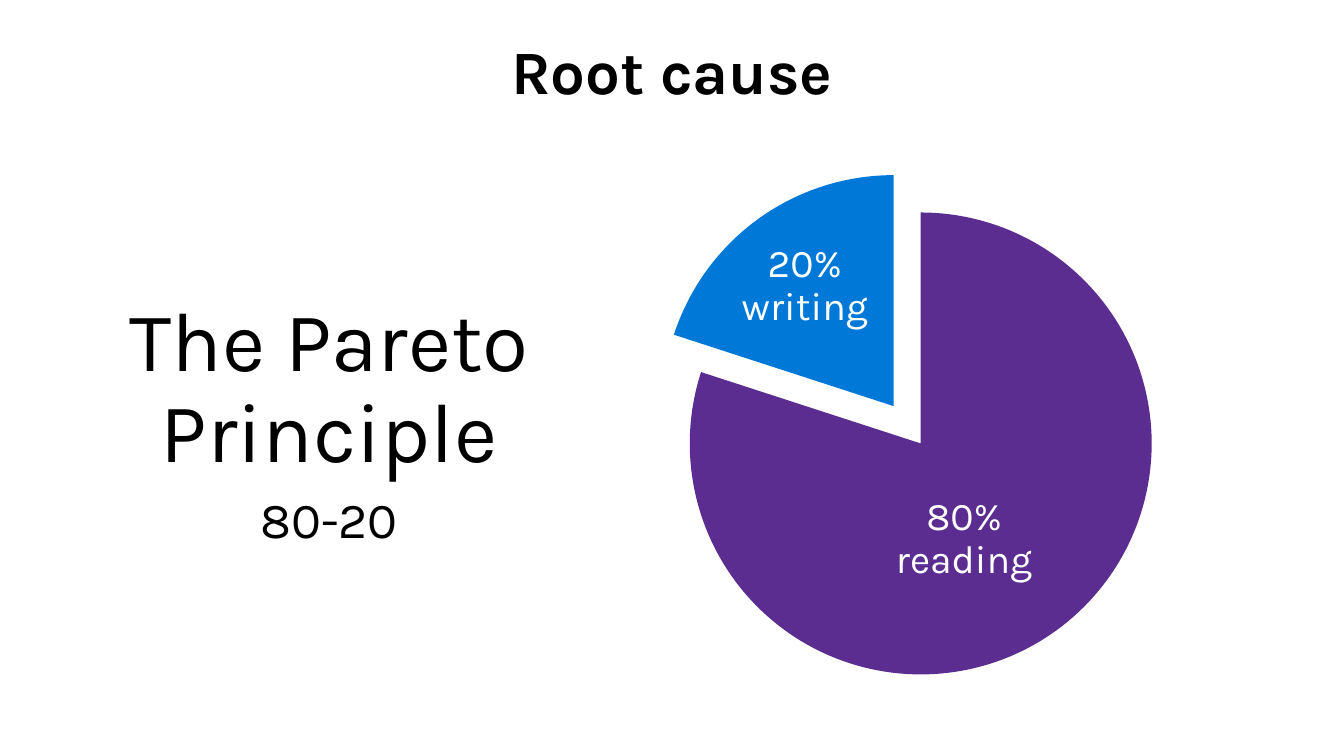
from lxml import etree
from pptx import Presentation
from pptx.chart.data import CategoryChartData
from pptx.dml.color import RGBColor
from pptx.enum import chart as charts, text
from pptx.oxml import ns
from pptx.util import Pt

# Content: each text has its box (left, top, width, height) and (line, style) pairs
TEXTS = [
    ((12.24, 126.72, 445.68, 352.8), [("The Pareto Principle", "principle"), ("80-20", "ratio")]),
    ((0, 28.8, 960, 48.96), [("Root cause", "title")]),
    ((608.4, 313.92, 160.56, 142.56), [("80% reading", "slice")]),
    ((494.64, 133.2, 160.56, 142.56), [("20% writing", "slice")]),
]
EFFORT = {"1": 80, "2": 20, "3": 0, "4": 0}
PIE_BOX = (426.96, 111.6, 442.08, 383.76)
PIE_SIDE = 363  # square that holds the pie with its slices pulled out
PULL_OUT = 10  # percent of the radius

THEME = {
    "font": "Karla",
    "chart_font": "Lato",
    "slices": ["5C2D91", "0078D7", "D0CECE", "A5A5A5"],
    "styles": {
        "title": {"size": Pt(44), "bold": True, "color": "000000"},
        "principle": {"size": Pt(60), "bold": False, "color": "000000"},
        "ratio": {"size": Pt(36), "bold": False, "color": "000000"},
        "slice": {"size": Pt(28), "bold": False, "color": "FFFFFF"},
    },
}


def add_lines(slide, box, lines):
    frame = slide.shapes.add_textbox(*map(Pt, box)).text_frame
    frame.word_wrap = True
    frame.vertical_anchor = text.MSO_ANCHOR.MIDDLE
    for index, (line, style) in enumerate(lines):
        paragraph = frame.add_paragraph() if index else frame.paragraphs[0]
        paragraph.alignment = text.PP_ALIGN.CENTER
        paragraph.line_spacing = 0.9
        if index:
            paragraph.space_before = Pt(10)
        run = paragraph.add_run()
        run.text = line
        run.font.name = THEME["font"]
        for key, value in THEME["styles"][style].items():
            if key == "color":
                run.font.color.rgb = RGBColor.from_string(value)
            else:
                setattr(run.font, key, value)


def add_pie(slide):
    data = CategoryChartData()
    data.categories = list(EFFORT)
    data.add_series("Series 1", list(EFFORT.values()))
    pie = slide.shapes.add_chart(charts.XL_CHART_TYPE.PIE, *map(Pt, PIE_BOX), data).chart
    pie.has_legend = False
    pie.has_title = False
    pie.font.name = THEME["chart_font"]
    pie.font.size = Pt(10)
    pie.font.color.rgb = RGBColor(0, 0, 0)
    pie.plots[0].vary_by_categories = True

    # Slice colours
    effort = pie.plots[0].series[0]
    for index, color in enumerate(THEME["slices"]):
        fill = effort.points[index].format.fill
        fill.solid()
        fill.fore_color.rgb = RGBColor.from_string(color)

    # Pull the slices apart: c:explosion comes before the points
    explosion = etree.Element(ns.qn("c:explosion"), val=str(PULL_OUT))
    effort._element.find(ns.qn("c:dPt")).addprevious(explosion)

    # Centre the pie in its frame
    plot_area = pie._chartSpace.chart.plotArea
    for old in plot_area.findall(ns.qn("c:layout")):
        plot_area.remove(old)
    layout = etree.Element(ns.qn("c:layout"))
    plot_area.insert(0, layout)
    manual = etree.SubElement(layout, ns.qn("c:manualLayout"))
    wide, high = PIE_SIDE / PIE_BOX[2], PIE_SIDE / PIE_BOX[3]
    settings = {"layoutTarget": "inner", "xMode": "edge", "yMode": "edge",
                "x": (1 - wide) / 2, "y": (1 - high) / 2, "w": wide, "h": high}
    for key, value in settings.items():
        etree.SubElement(manual, ns.qn("c:" + key), val=str(value))


def main():
    deck = Presentation()
    deck.slide_width, deck.slide_height = Pt(960), Pt(540)
    slide = deck.slides.add_slide(deck.slide_layouts[6])
    # The pie lies beneath the slice captions
    add_pie(slide)
    for box, lines in TEXTS:
        add_lines(slide, box, lines)
    deck.save("out.pptx")


if __name__ == "__main__":
    main()
